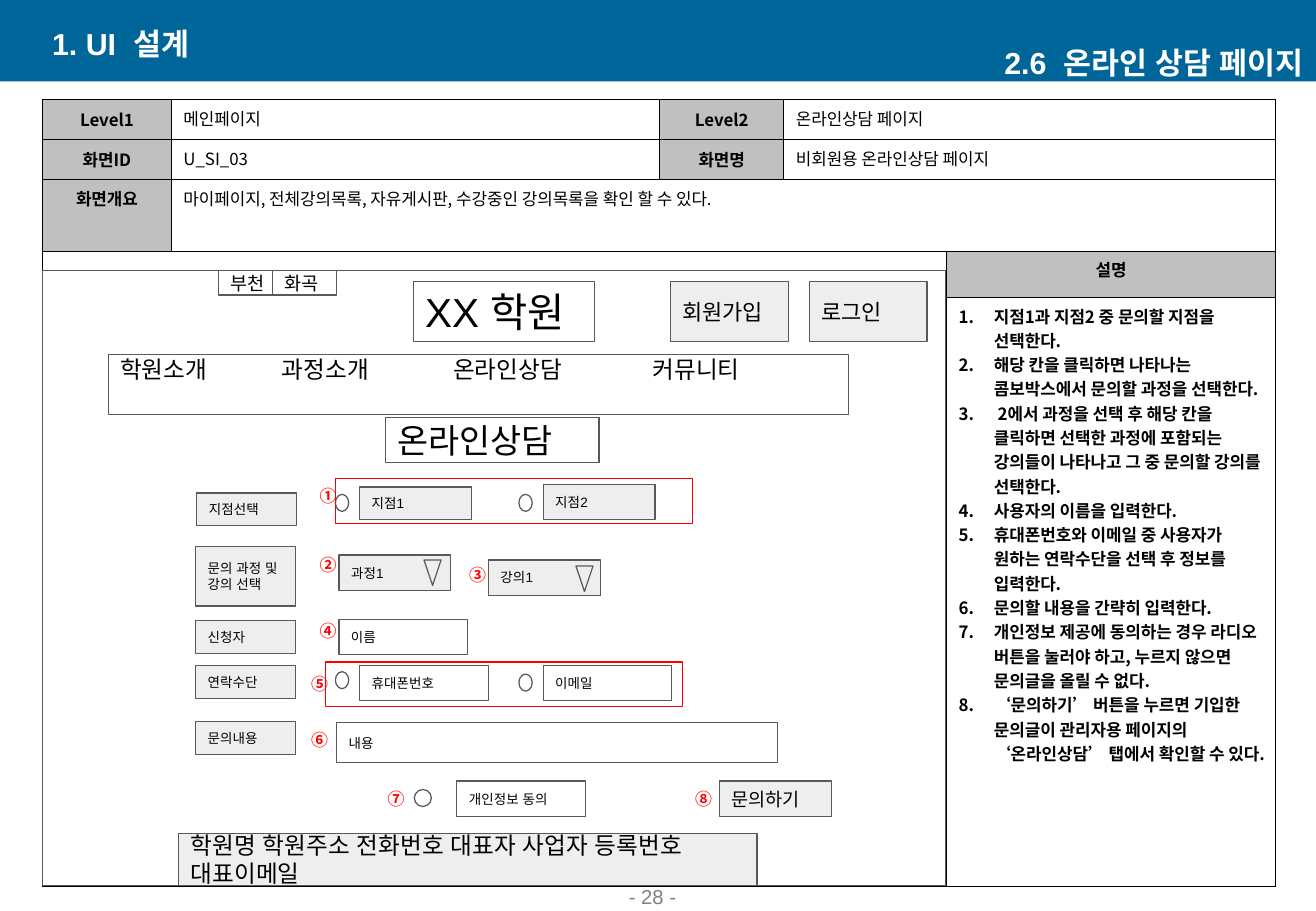
from dataclasses import dataclass
from typing import NamedTuple

from lxml.etree import SubElement
from pptx import Presentation
from pptx.dml.color import RGBColor
from pptx.enum.shapes import MSO_SHAPE as Preset
from pptx.enum.text import MSO_ANCHOR as Anchor, MSO_AUTO_SIZE as AutoSize, PP_ALIGN as Align
from pptx.oxml.ns import qn
from pptx.shapes.autoshape import Shape
from pptx.slide import Slide
from pptx.table import _Cell as Cell
from pptx.text.text import TextFrame
from pptx.util import Emu, Inches, Pt


@dataclass(frozen=True)
class Theme:
    latin: str = "Arial"
    korean: str = "Noto Sans CJK KR"
    banner: str = "006699"
    white: str = "FFFFFF"
    black: str = "000000"
    red: str = "FF0000"
    head: str = "C0C0C0"
    button: str = "EEEEEE"
    outline: str = "595959"
    muted: str = "808080"
    tiny: float = 8
    body: float = 10
    small: float = 11
    page: float = 12
    action: float = 13
    menu: float = 14
    heading: float = 18
    section: float = 20
    logo: float = 24


THEME = Theme()
GRID_COLUMNS, GRID_ROWS = 108.3, 75
CELL = Inches(0.1)


class Area(NamedTuple):
    """Left, top, width and height in grid columns and rows."""
    column: float
    row: float
    columns: float
    rows: float


class Style(NamedTuple):
    size: float
    color: str = THEME.black
    font: str = THEME.latin
    bold: bool = False
    align: Align = Align.LEFT


class Box(NamedTuple):
    area: Area
    text: str = ""
    size: float = THEME.tiny
    fill: str | None = THEME.white
    line: str | None = THEME.outline
    preset: Preset = Preset.RECTANGLE
    rotation: float = 0


class Marker(NamedTuple):
    symbol: str
    column: float
    row: float


class Entry(NamedTuple):
    row: int
    column: int
    text: str
    head: bool = False
    anchor: Anchor = Anchor.TOP


HEADING = Style(THEME.heading, THEME.white, bold=True)
BODY = Style(THEME.body, font=THEME.korean)
BOLD = BODY._replace(bold=True)
HEAD = BOLD._replace(align=Align.CENTER)
MARK = HEAD._replace(color=THEME.red)

TABLE_AREA = Area(3.5, 8.2, 101.5, 64.8)
TABLE_COLUMNS = (10.6, 40.2, 10.2, 13.4, 27.1)
TABLE_ROWS = (3.3, 3.3, 5.9, 3.8, 48.5)
MERGES = ((0, 3, 0, 4), (1, 3, 1, 4), (2, 1, 2, 4), (3, 0, 4, 3))
ENTRIES = (
    Entry(0, 0, "Level1", True, Anchor.MIDDLE), Entry(0, 1, "메인페이지"),
    Entry(0, 2, "Level2", True, Anchor.MIDDLE), Entry(0, 3, "온라인상담 페이지"),
    Entry(1, 0, "화면ID", True, Anchor.MIDDLE), Entry(1, 1, "U_SI_03"),
    Entry(1, 2, "화면명", True, Anchor.MIDDLE), Entry(1, 3, "비회원용 온라인상담 페이지"),
    Entry(2, 0, "화면개요", True),
    Entry(2, 1, "마이페이지, 전체강의목록, 자유게시판, 수강중인 강의목록을 확인 할 수 있다."),
    Entry(3, 4, "설명", True),
)
STEPS = (
    "지점1과 지점2 중 문의할 지점을 선택한다.",
    "해당 칸을 클릭하면 나타나는 콤보박스에서 문의할 과정을 선택한다.",
    " 2에서 과정을 선택 후 해당 칸을 클릭하면 선택한 과정에 포함되는 강의들이 나타나고 그 중 문의할 강의를 선택한다.",
    "사용자의 이름을 입력한다.",
    "휴대폰번호와 이메일 중 사용자가 원하는 연락수단을 선택 후 정보를 입력한다.",
    "문의할 내용을 간략히 입력한다.",
    "개인정보 제공에 동의하는 경우 라디오 버튼을 눌러야 하고, 누르지 않으면 문의글을 올릴 수 없다.",
    "‘문의하기’ 버튼을 누르면 기입한 문의글이 관리자용 페이지의 ‘온라인상담’ 탭에서 확인할 수 있다.",
)
MENU = Box(Area(8.9, 29.2, 60.9, 4.9), "학원소개\t과정소개\t온라인상담\t커뮤니티", THEME.menu)
MENU_TABS = (13.3, 27.4, 43.8)

LABELS = [Box(Area(column, row, 8.2, rows), text, fill=THEME.button) for column, row, rows, text in (
    (16.2, 40.6, 2.7, "지점선택"), (16.1, 45, 4.9, "문의 과정 및\n강의 선택"),
    (16.1, 51.1, 2.7, "신청자"), (16.1, 54.8, 2.7, "연락수단"), (16.1, 59.4, 2.7, "문의내용"))]
INPUTS = [Box(Area(column, row, 10.6, 2.9), text) for column, row, text in (
    (27.9, 51, "이름"), (29.6, 54.8, "휴대폰번호"), (44.7, 54.8, "이메일"), (37.6, 64.3, "개인정보 동의"))]
CHOICES = [Box(Area(column, row, 9.2, rows), text, size, THEME.button) for column, row, rows, text, size in (
    (27.9, 45.7, 2.9, "과정1", THEME.tiny), (40.2, 46.1, 2.9, "강의1", THEME.tiny),
    (29.6, 40.1, 2.7, "지점1", THEME.tiny), (44.7, 39.9, 2.9, "지점2", THEME.tiny),
    (59.2, 64.3, 2.9, "문의하기", THEME.small))]
ACTIONS = [Box(Area(column, 23.2, 9.7, 4.9), text, THEME.action, THEME.button)
           for column, text in ((55.2, "회원가입"), (66.6, "로그인"))]
ARROWS = [Box(Area(column, row, 1.4, 2.1), fill=THEME.button, preset=Preset.ISOSCELES_TRIANGLE, rotation=180)
          for column, row in ((34.9, 46.1), (47.4, 46.6))]
RADIOS = [Box(Area(column, row, columns, 1.4), preset=Preset.OVAL) for column, row, columns in (
    (27.6, 40.7, 1.1), (42.7, 40.7, 1.1), (27.6, 55.3, 1.1), (42.7, 55.5, 1.1), (34.1, 65, 1.4))]
FRAMES = [Box(Area(column, row, 29.4, 3.7), fill=None, line=THEME.red)
          for column, row in ((27.6, 39.4), (26.8, 54.5))]
BOXES = [
    Box(Area(3.5, 22.3, 74.3, 50.6)),
    Box(Area(34, 23.2, 14.9, 4.9), "XX 학원", THEME.logo),
    Box(Area(14.7, 68.6, 47.6, 4.3), "학원명 학원주소 전화번호 대표자 사업자 등록번호 대표이메일",
        THEME.menu, THEME.button),
    Box(Area(18, 22.3, 6.4, 2), "부천", THEME.small),
    Box(Area(22.4, 22.3, 5.3, 2), "화곡", THEME.small),
    Box(Area(31.7, 34.4, 17.6, 3.7), "온라인상담", THEME.section),
    Box(Area(27.7, 59.5, 36.3, 3.3), "내용"),
    *LABELS, *INPUTS, *CHOICES, *ACTIONS, *ARROWS, *RADIOS, *FRAMES,
]
MARKERS = (
    Marker("①", 25.3, 39.5), Marker("②", 25.3, 45.2), Marker("③", 37.6, 46),
    Marker("④", 25.3, 50.6), Marker("⑤", 24.6, 55), Marker("⑥", 24.6, 59.6),
    Marker("⑦", 30.9, 64.4), Marker("⑧", 56.2, 64.4),
)


def grid(count: float) -> Emu:
    return Emu(round(count * CELL))


def place(area: Area) -> list[Emu]:
    return [grid(value) for value in area]


def write(frame: TextFrame, text: str, style: Style, tabs: tuple[float, ...] = (), numbered: bool = False) -> None:
    """Fill a frame, one paragraph per line, in a single style."""
    frame.text = text
    for paragraph in frame.paragraphs:
        paragraph.alignment = style.align
        properties = paragraph._p.get_or_add_pPr()
        if numbered:
            properties.set("marL", str(grid(2.9)))
            properties.set("indent", str(-grid(2.9)))
            SubElement(properties, qn("a:buFont"), typeface=style.font)
            SubElement(properties, qn("a:buAutoNum"), type="arabicPeriod")
        if tabs:
            stops = SubElement(properties, qn("a:tabLst"))
            for stop in tabs:
                SubElement(stops, qn("a:tab"), pos=str(grid(stop)), algn="l")
        font = paragraph.font
        font.name, font.size, font.bold = style.font, Pt(style.size), style.bold
        font.color.rgb = RGBColor.from_string(style.color)
        SubElement(properties.find(qn("a:defRPr")), qn("a:ea"), typeface=style.font)


def add_box(slide: Slide, box: Box, tabs: tuple[float, ...] = ()) -> Shape:
    shape = slide.shapes.add_shape(box.preset, *place(box.area))
    shape.shadow.inherit = False
    shape.rotation = box.rotation
    if box.fill:
        shape.fill.solid()
        shape.fill.fore_color.rgb = RGBColor.from_string(box.fill)
    else:
        shape.fill.background()
    if box.line:
        shape.line.color.rgb = RGBColor.from_string(box.line)
        shape.line.width = Pt(0.75)
    else:
        shape.line.fill.background()
    if box.text:
        frame = shape.text_frame
        frame.word_wrap = True
        frame.vertical_anchor = Anchor.TOP if tabs else Anchor.MIDDLE
        frame.margin_top = frame.margin_bottom = 0 if tabs else grid(1)
        write(frame, box.text, Style(box.size), tabs)
    return shape


def add_text(slide: Slide, area: Area, text: str, style: Style, anchor: Anchor, side: float = 1) -> None:
    frame = slide.shapes.add_textbox(*place(area)).text_frame
    frame.word_wrap = True
    frame.vertical_anchor = anchor
    frame.margin_left = frame.margin_right = grid(side)
    write(frame, text, style)


def format_cell(cell: Cell, fill: str) -> None:
    properties = cell._tc.get_or_add_tcPr()
    for side in ("lnL", "lnR", "lnT", "lnB"):
        line = SubElement(properties, qn(f"a:{side}"), w=str(Pt(1)))
        SubElement(SubElement(line, qn("a:solidFill")), qn("a:srgbClr"), val=THEME.black)
    cell.fill.solid()
    cell.fill.fore_color.rgb = RGBColor.from_string(fill)


def add_screen_table(slide: Slide) -> None:
    table = slide.shapes.add_table(len(TABLE_ROWS), len(TABLE_COLUMNS), *place(TABLE_AREA)).table
    table.first_row = table.horz_banding = False
    for column, width in zip(table.columns, TABLE_COLUMNS):
        column.width = grid(width)
    for row, height in zip(table.rows, TABLE_ROWS):
        row.height = grid(height)
    heads = {(entry.row, entry.column) for entry in ENTRIES if entry.head}
    for row in range(len(TABLE_ROWS)):
        for column in range(len(TABLE_COLUMNS)):
            cell = table.cell(row, column)
            format_cell(cell, THEME.head if (row, column) in heads else THEME.white)
            write(cell.text_frame, "", BODY)
    for top, left, bottom, right in MERGES:
        table.cell(top, left).merge(table.cell(bottom, right))
    for entry in ENTRIES:
        cell = table.cell(entry.row, entry.column)
        cell.vertical_anchor = entry.anchor
        write(cell.text_frame, entry.text, HEAD if entry.head else BODY)
    write(table.cell(4, 4).text_frame, "\n".join(STEPS), BOLD, numbered=True)


def set_title(slide: Slide, area: Area, text: str) -> None:
    title = slide.shapes.title
    title.left, title.top, title.width, title.height = place(area)
    frame = title.text_frame
    frame.auto_size = AutoSize.NONE
    frame.word_wrap = True
    frame.vertical_anchor = Anchor.MIDDLE
    write(frame, text, HEADING._replace(align=Align.RIGHT))


def main() -> None:
    presentation = Presentation()
    presentation.slide_width, presentation.slide_height = grid(GRID_COLUMNS), grid(GRID_ROWS)
    slide = presentation.slides.add_slide(presentation.slide_layouts.get_by_name("Title Only"))
    banner = add_box(slide, Box(Area(0, 0, GRID_COLUMNS, 6.7), fill=THEME.banner, line=None))
    slide.shapes.title.element.addprevious(banner.element)
    set_title(slide, Area(64.5, 3.5, 43.8, 3.3), "2.6  온라인 상담 페이지")
    add_text(slide, Area(3.3, 1.9, 43.8, 3.3), "1. UI  설계", HEADING, Anchor.MIDDLE)
    add_screen_table(slide)
    for box in BOXES:
        add_box(slide, box)
    add_box(slide, MENU, MENU_TABS)
    for marker in MARKERS:
        add_text(slide, Area(marker.column, marker.row, 3.4, 2.7), marker.symbol, MARK, Anchor.TOP, side=0)
    add_text(slide, Area(42.4, 73, 22.6, 2.3), "- 28 -",
             Style(THEME.page, THEME.muted, align=Align.CENTER), Anchor.BOTTOM)
    presentation.save("out.pptx")


if __name__ == "__main__":
    main()
